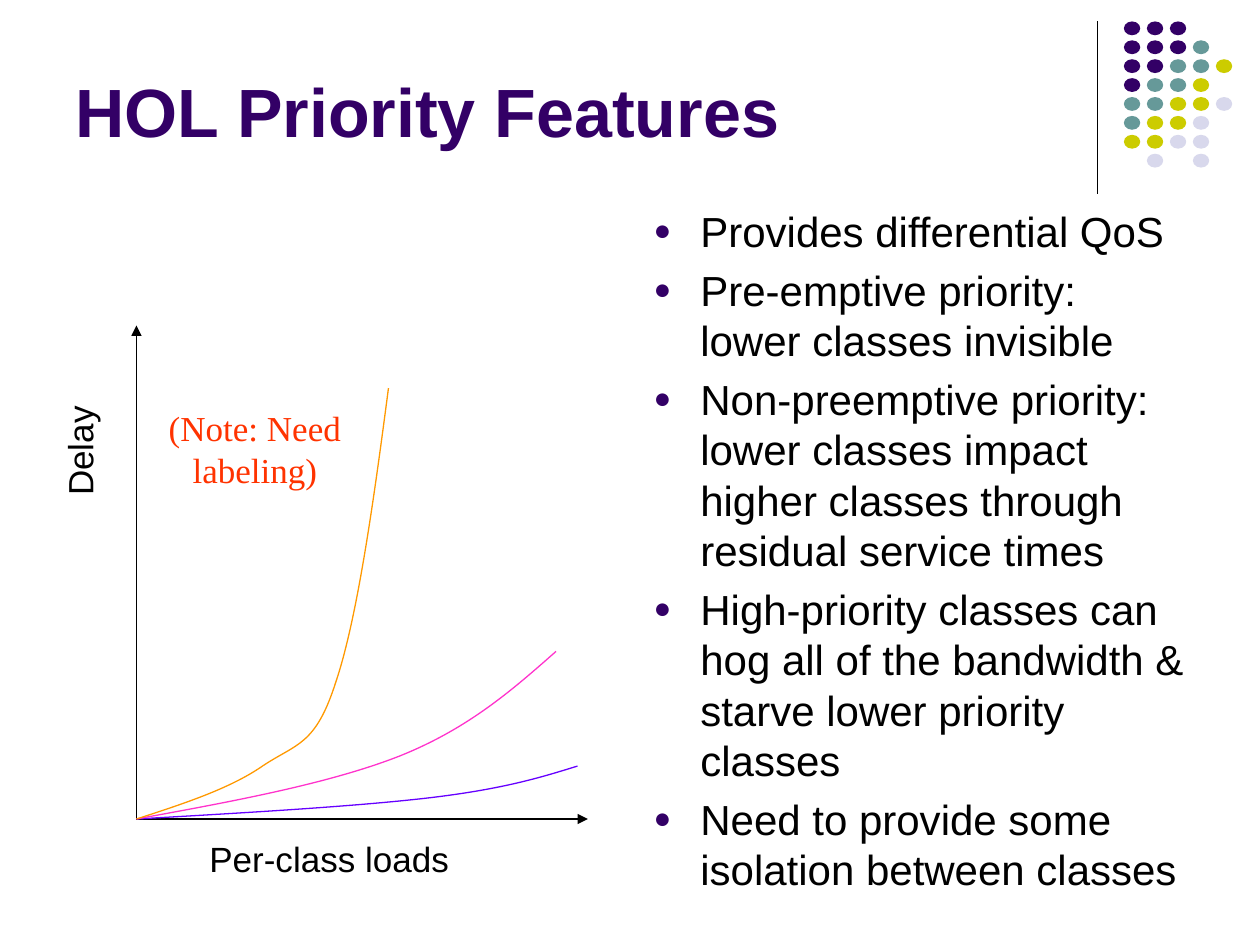
import dataclasses

import pptx
import pptx.dml.color
import pptx.enum.shapes
import pptx.enum.text
import pptx.oxml.ns
import pptx.oxml.xmlchemy
import pptx.util

Inches = pptx.util.Inches
Pt = pptx.util.Pt
Align = pptx.enum.text.PP_ALIGN
Anchor = pptx.enum.text.MSO_ANCHOR
qn = pptx.oxml.ns.qn


@dataclasses.dataclass(frozen=True)
class Theme:
    sans: str = "Arial"
    serif: str = "Times New Roman"
    title_size: float = 39
    body_size: float = 24
    label_size: float = 20
    line_width: float = 0.75
    text: str = "000000"
    purple: str = "330066"
    teal: str = "669999"
    olive: str = "CCCC00"
    lilac: str = "D8D8EC"
    note: str = "FF3300"
    low_curve: str = "6600FF"
    middle_curve: str = "FF33CC"
    high_curve: str = "FF9900"


THEME = Theme()

DOT_ROWS = ["PPP", "PPPT", "PPTTO", "PTTO", "TTOOL", "TOOL", "OOLL", " L L"]
DOT_COLORS = {"P": THEME.purple, "T": THEME.teal, "O": THEME.olive, "L": THEME.lilac}

FEATURES = [
    "Provides differential QoS",
    "Pre-emptive priority: lower classes invisible",
    "Non-preemptive priority: lower classes impact higher classes through residual service times",
    "High-priority classes can hog all of the bandwidth & starve lower priority classes",
    "Need to provide some isolation between classes",
]

DELAY_CURVES = [
    (THEME.low_curve, [(0.88, 0.05), (1.75, 0.1), (2.34, 0.17),
                       (2.92, 0.24), (3.21, 0.33), (3.5, 0.42)]),
    (THEME.middle_curve, [(0.77, 0.14), (1.53, 0.28), (2.09, 0.5),
                          (2.64, 0.72), (2.99, 1.03), (3.33, 1.33)]),
    (THEME.high_curve, [(0.37, 0.12), (0.74, 0.24), (1, 0.42),
                        (1.27, 0.6), (1.42, 0.58), (1.58, 1.08),
                        (1.75, 1.58), (1.88, 2.5), (2, 3.42)]),
]


def rgb(color):
    return pptx.dml.color.RGBColor.from_string(color)


def add_element(parent, tag, **attributes):
    element = pptx.oxml.xmlchemy.OxmlElement(tag)
    for name, value in attributes.items():
        element.set(name, value)
    parent.append(element)
    return element


def style_font(paragraph, size, color, face=THEME.sans, bold=False):
    for run in paragraph.runs:
        run.font.name = face
        run.font.size = Pt(size)
        run.font.bold = bold
        run.font.color.rgb = rgb(color)


def add_text(slide, box, text, size, color, face=THEME.sans, bold=False,
             align=Align.LEFT, anchor=Anchor.TOP, wrap=True):
    textbox = slide.shapes.add_textbox(*map(Inches, box))
    frame = textbox.text_frame
    frame.word_wrap = wrap
    frame.vertical_anchor = anchor
    frame.text = text
    for paragraph in frame.paragraphs:
        paragraph.alignment = align
        style_font(paragraph, size, color, face, bold)
    return textbox


def add_line(slide, start, end, arrow=False):
    connector = slide.shapes.add_connector(
        pptx.enum.shapes.MSO_CONNECTOR.STRAIGHT, *map(Inches, start + end))
    connector.line.color.rgb = rgb(THEME.text)
    connector.line.width = Pt(THEME.line_width)
    if arrow:
        add_element(connector.line._get_or_add_ln(), "a:tailEnd", type="triangle")
    add_element(connector._element.spPr, "a:effectLst")


def add_curve(slide, origin, color, controls):
    x, y = origin
    builder = slide.shapes.build_freeform(Inches(x), Inches(y))
    builder.add_line_segments(
        [(Inches(x + load), Inches(y - delay)) for load, delay in controls], close=False)
    curve = builder.convert_to_shape()
    curve.shadow.inherit = False
    curve.fill.background()
    curve.line.color.rgb = rgb(color)
    curve.line.width = Pt(THEME.line_width)
    outline = next(curve._element.iter(qn("a:path")))
    segments = outline.findall(qn("a:lnTo"))
    for first in range(0, len(segments), 3):
        bezier = add_element(outline, "a:cubicBezTo")
        for segment in segments[first:first + 3]:
            bezier.append(segment[0])
            outline.remove(segment)


def add_dot_ornament(slide, box):
    left, top, width, height = box
    add_line(slide, (left, top), (left, top + height))
    dot_left, dot_width, dot_height = left + 0.21, 0.13, 0.11
    column_step = (left + width - dot_left - dot_width) / 4
    row_step = 0.15
    for row, codes in enumerate(DOT_ROWS):
        for column, code in enumerate(codes):
            if code not in DOT_COLORS:
                continue
            dot = slide.shapes.add_shape(
                pptx.enum.shapes.MSO_SHAPE.OVAL,
                Inches(dot_left + column * column_step), Inches(top + row * row_step),
                Inches(dot_width), Inches(dot_height))
            dot.shadow.inherit = False
            dot.fill.solid()
            dot.fill.fore_color.rgb = rgb(DOT_COLORS[code])
            dot.line.fill.background()


def add_title(slide, box):
    add_text(slide, box, "HOL Priority Features", THEME.title_size, THEME.purple,
             bold=True, anchor=Anchor.BOTTOM)


def add_features(slide, box):
    features = add_text(slide, box, "\n".join(FEATURES), THEME.body_size, THEME.text)
    for index, paragraph in enumerate(features.text_frame.paragraphs):
        paragraph.space_before = Pt(0.2 * THEME.body_size if index else 0)
        properties = paragraph._p.get_or_add_pPr()
        properties.set("marL", str(Inches(0.38)))
        properties.set("indent", str(-Inches(0.37)))
        bullet_color = add_element(properties, "a:buClr")
        add_element(bullet_color, "a:srgbClr", val=THEME.purple)
        add_element(properties, "a:buSzPct", val="70000")
        add_element(properties, "a:buFont", typeface=THEME.sans)
        add_element(properties, "a:buChar", char="●")


def add_delay_plot(slide, box):
    left, top, width, height = box
    origin = (left, top + height)
    add_line(slide, origin, (left, top), arrow=True)
    add_line(slide, origin, (left + width, top + height), arrow=True)
    for color, controls in DELAY_CURVES:
        add_curve(slide, origin, color, controls)
    delay = add_text(slide, (left - 0.91, top + 0.78, 0.91, 0.43), "Delay",
                     THEME.label_size, THEME.text, wrap=False)
    delay.rotation = 270
    add_text(slide, (left + 0.48, top + height + 0.1, 2.1, 0.43), "Per-class loads",
             THEME.label_size, THEME.text, wrap=False)
    add_text(slide, (left + 0.14, top + 0.6, 1.6, 0.76), "(Note: Need labeling)",
             THEME.label_size, THEME.note, THEME.serif,
             align=Align.CENTER, anchor=Anchor.MIDDLE)


def main():
    deck = pptx.Presentation()
    deck.slide_width = Inches(10)
    deck.slide_height = Inches(7.5)
    slide = deck.slides.add_slide(deck.slide_layouts[6])
    add_dot_ornament(slide, (8.71, 0.17, 1.07, 1.37))
    add_title(slide, (0.5, 0.13, 8.25, 1.12))
    add_features(slide, (5.08, 1.58, 4.42, 5.12))
    add_delay_plot(slide, (13 / 12, 31 / 12, 43 / 12, 47 / 12))
    deck.save("out.pptx")


if __name__ == "__main__":
    main()
